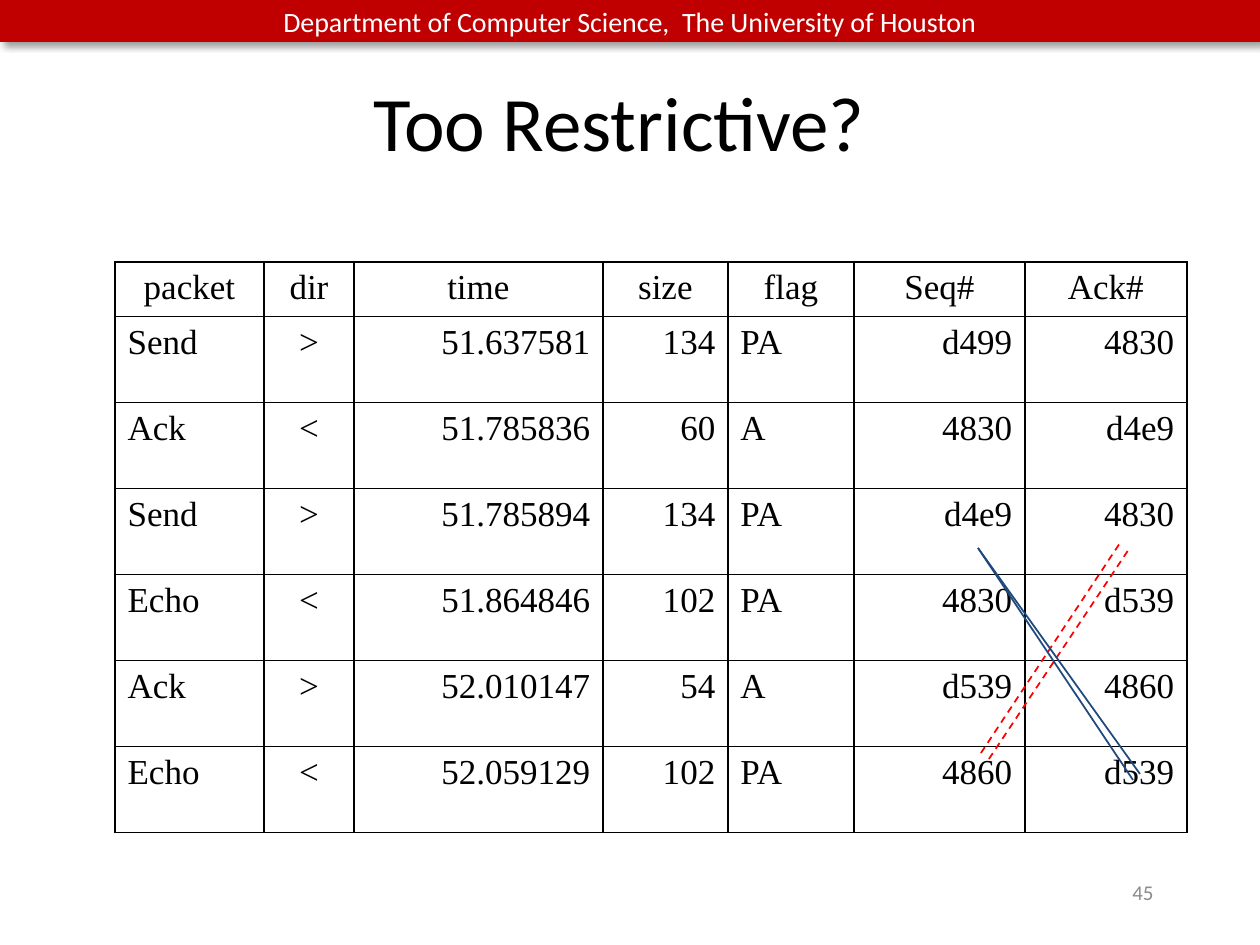
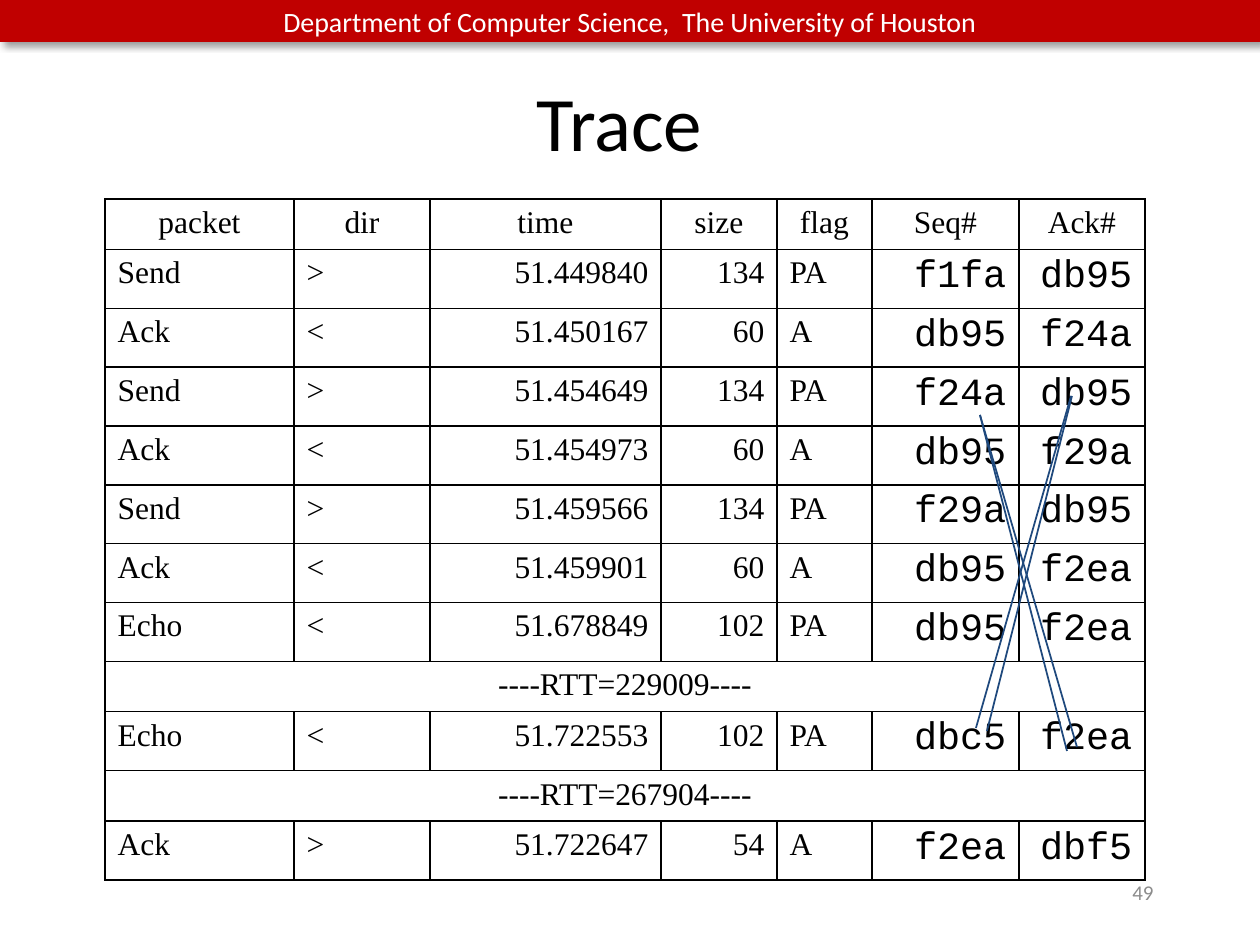
import lxml.etree
import pptx
import pptx.dml.color
import pptx.enum.dml
import pptx.enum.shapes
import pptx.enum.text
import pptx.oxml
import pptx.oxml.ns
import pptx.util

RED = pptx.dml.color.RGBColor(0xC0, 0x00, 0x00)
BRIGHT_RED = pptx.dml.color.RGBColor(0xFF, 0x00, 0x00)
NAVY = pptx.dml.color.RGBColor(0x1F, 0x49, 0x7D)
BLACK = pptx.dml.color.RGBColor(0x00, 0x00, 0x00)
WHITE = pptx.dml.color.RGBColor(0xFF, 0xFF, 0xFF)
GRAY = pptx.dml.color.RGBColor(0x8C, 0x8C, 0x8C)

ALIGN = pptx.enum.text.PP_ALIGN
LEFT, CENTER, RIGHT = ALIGN.JUSTIFY, ALIGN.CENTER, ALIGN.RIGHT
MIDDLE = pptx.enum.text.MSO_ANCHOR.MIDDLE
DASH = pptx.enum.dml.MSO_LINE.DASH
NS = pptx.oxml.ns.nsdecls("a")
SHADOW = (
    f'<a:outerShdw {NS} blurRad="50800" dist="38100" dir="2700000" algn="tl" rotWithShape="0">'
    '<a:srgbClr val="000000"><a:alpha val="40000"/></a:srgbClr></a:outerShdw>'
)
HEADERS = "packet dir time size flag Seq# Ack#"

SLIDES = [
    dict(
        title="Too Restrictive?",
        number="45",
        place=(115, 262),
        cols=[149, 90, 249, 125, 126, 171, 162],
        label_height=53,
        row_height=86,
        size=20,
        code=("Times New Roman", 20),
        dir_align=CENTER,
        rows=[
            HEADERS,
            "Send > 51.637581 134 PA d499 4830",
            "Ack < 51.785836 60 A 4830 d4e9",
            "Send > 51.785894 134 PA d4e9 4830",
            "Echo < 51.864846 102 PA 4830 d539",
            "Ack > 52.010147 54 A d539 4860",
            "Echo < 52.059129 102 PA 4860 d539",
        ],
        links=[
            (981, 753, 1120, 543, BRIGHT_RED, DASH),
            (989, 759, 1129, 549, BRIGHT_RED, DASH),
            (1133, 780, 978, 548, NAVY, None),
            (1140, 774, 978, 548, NAVY, None),
        ],
    ),
    dict(
        title="Trace",
        number="49",
        place=(105, 199),
        cols=[189, 136, 231, 116, 95, 147, 126],
        label_height=47,
        row_height=56,
        size=18,
        code=("Courier New", 22),
        dir_align=LEFT,
        rows=[
            HEADERS,
            "Send > 51.449840 134 PA f1fa db95",
            "Ack < 51.450167 60 A db95 f24a",
            "Send > 51.454649 134 PA f24a db95",
            "Ack < 51.454973 60 A db95 f29a",
            "Send > 51.459566 134 PA f29a db95",
            "Ack < 51.459901 60 A db95 f2ea",
            "Echo < 51.678849 102 PA db95 f2ea",
            "----RTT=229009----",
            "Echo < 51.722553 102 PA dbc5 f2ea",
            "----RTT=267904----",
            "Ack > 51.722647 54 A f2ea dbf5",
        ],
        links=[
            (1067, 751, 980, 415, NAVY, None),
            (1077, 747, 980, 415, NAVY, None),
            (976, 728, 1071, 396, NAVY, None),
            (987, 731, 1072, 396, NAVY, None),
        ],
    ),
]


def px(n):
    return pptx.util.Emu(round(n * 914400 / 126))


def write(tf, text, size, font="Calibri", color=BLACK, align=CENTER, anchor=None, hanging=0):
    tf.word_wrap = True
    if anchor is not None:
        tf.vertical_anchor = anchor
    p = tf.paragraphs[0]
    p.alignment = align
    if hanging:
        pPr = p._p.get_or_add_pPr()
        pPr.set("marL", str(px(hanging)))
        pPr.set("indent", str(-px(hanging)))
    r = p.add_run()
    r.text = text
    r.font.name = font
    r.font.size = pptx.util.Pt(size)
    r.font.color.rgb = color


prs = pptx.Presentation()
prs.slide_width = px(1260)
prs.slide_height = px(945)

for page in SLIDES:
    s = prs.slides.add_slide(prs.slide_layouts[6])

    band = s.shapes.add_shape(pptx.enum.shapes.MSO_SHAPE.RECTANGLE, 0, 0, px(1260), px(42))
    band.shadow.inherit = False
    band.fill.solid()
    band.fill.fore_color.rgb = RED
    band.line.fill.background()
    effects = band._element.spPr.find(pptx.oxml.ns.qn("a:effectLst"))
    effects.append(pptx.oxml.parse_xml(SHADOW))
    write(band.text_frame, "Department of Computer Science,  The University of Houston",
          16, color=WHITE, anchor=MIDDLE)

    title = s.shapes.add_textbox(px(84), px(42), px(1071), px(158))
    write(title.text_frame, page["title"], 44, anchor=MIDDLE)

    rows, cols = page["rows"], page["cols"]
    left, top = page["place"]
    heights = [page["label_height"] if row == HEADERS or "RTT" in row else page["row_height"]
               for row in rows]
    table = s.shapes.add_table(len(rows), len(cols), px(left), px(top),
                               px(sum(cols)), px(sum(heights))).table
    table.first_row = False
    table.horz_banding = False
    for col, width in zip(table.columns, cols):
        col.width = px(width)
    aligns = [LEFT, page["dir_align"], RIGHT, RIGHT, LEFT, RIGHT, RIGHT]
    for i, row in enumerate(rows):
        table.rows[i].height = px(heights[i])
        values = row.split()
        if len(values) == 1:
            table.cell(i, 0).merge(table.cell(i, len(cols) - 1))
        is_data = heights[i] == page["row_height"]
        for j, text in enumerate(values):
            font, size = page["code"] if is_data and j >= 5 else ("Times New Roman", page["size"])
            write(table.cell(i, j).text_frame, text, size, font=font,
                  align=aligns[j] if is_data else CENTER, hanging=48)
        for cell in table.rows[i].cells:
            cell.fill.background()
            tcPr = cell._tc.get_or_add_tcPr()
            for k, side in enumerate("LRTB"):
                tcPr.insert(k, pptx.oxml.parse_xml(
                    f'<a:ln{side} {NS} w="12700"><a:solidFill><a:srgbClr val="{BLACK}"/>'
                    f'</a:solidFill></a:ln{side}>'))

    number = s.shapes.add_textbox(px(904), px(861), px(262), px(63))
    write(number.text_frame, page["number"], 12, color=GRAY, align=RIGHT, anchor=MIDDLE)

    for x1, y1, x2, y2, color, dash in page["links"]:
        link = s.shapes.add_connector(pptx.enum.shapes.MSO_CONNECTOR.STRAIGHT,
                                      px(x1), px(y1), px(x2), px(y2))
        link.line.color.rgb = color
        link.line.width = pptx.util.Pt(1)
        if dash is not None:
            link.line.dash_style = dash
        lxml.etree.SubElement(link._element.spPr, pptx.oxml.ns.qn("a:effectLst"))

prs.save("out.pptx")
